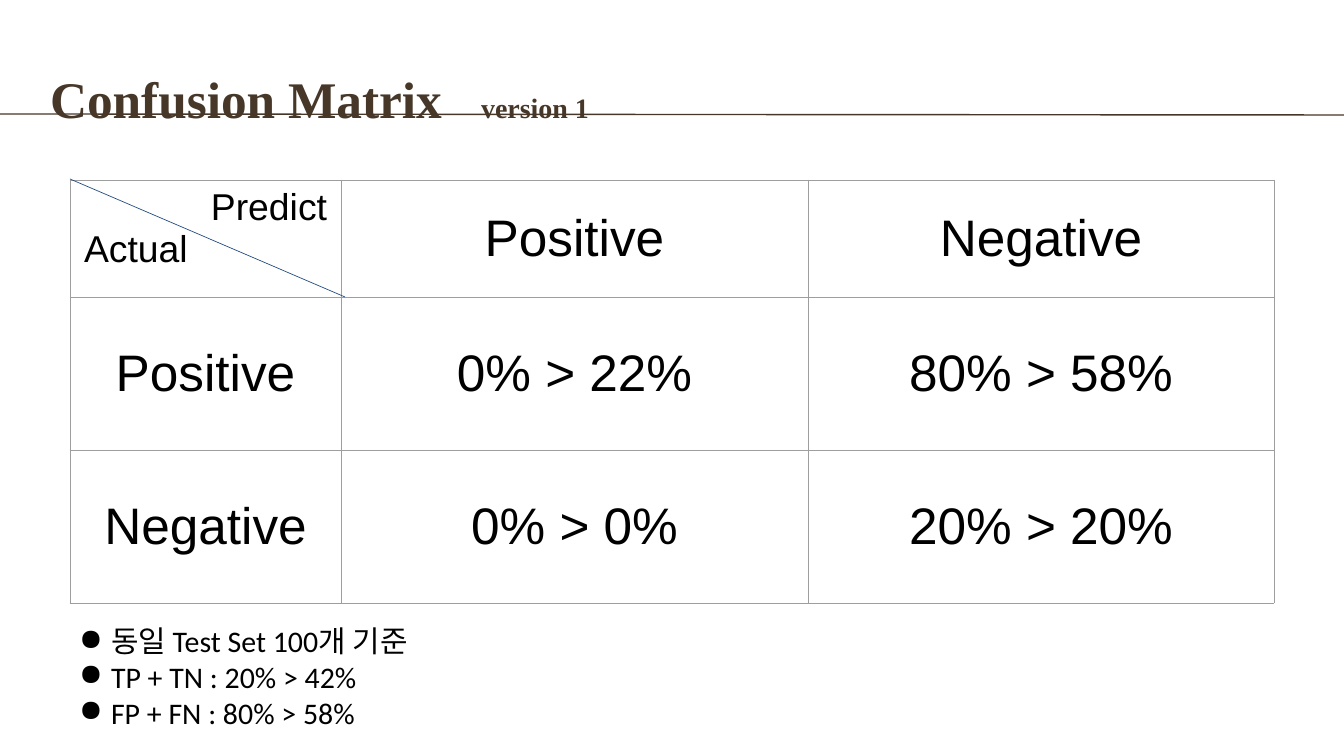
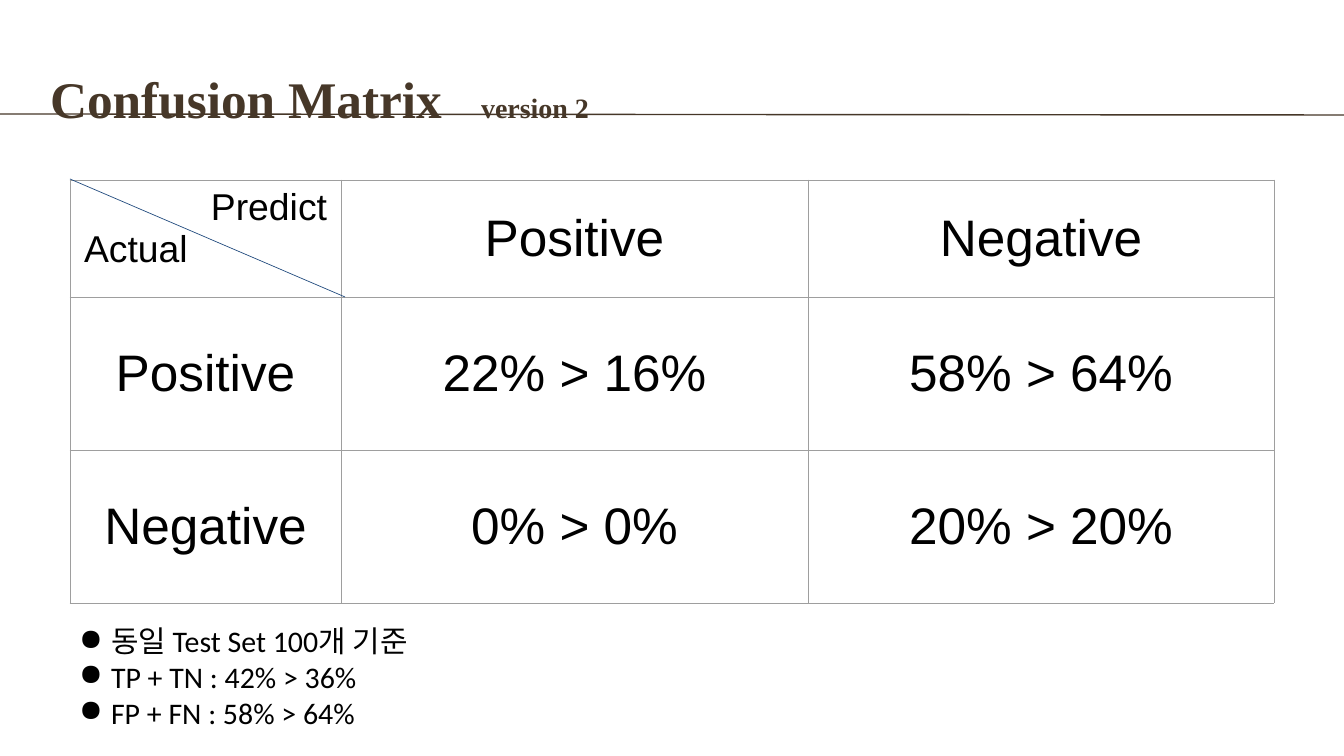
from lxml.etree import SubElement
from pptx import Presentation
from pptx.dml.color import RGBColor
from pptx.enum.shapes import MSO_CONNECTOR
from pptx.enum.text import MSO_ANCHOR, MSO_AUTO_SIZE, PP_ALIGN
from pptx.oxml.ns import qn
from pptx.util import Pt

PX = 13607  # EMU per px, 67.2 px to the inch
BROWN, BLUE, GREY, BLACK = "463728", "1F497D", "9E9E9E", "000000"
TITLE_FONT, TABLE_FONT, NOTE_FONT = "Times New Roman", "Arial", "Calibri"
hex_color = RGBColor.from_string

COLUMN_WIDTHS = [271, 467, 466]
ROW_HEIGHTS = [117, 153, 153]
CLASSES = ["Positive", "Negative"]

VERSIONS = [
    {
        "name": "version 1",
        "rates": [["0% > 22%", "80% > 58%"], ["0% > 0%", "20% > 20%"]],
        "correct": "20% > 42%",
        "wrong": "80% > 58%",
        "notes_height": 119,
    },
    {
        "name": "version 2",
        "rates": [["22% > 16%", "58% > 64%"], ["0% > 0%", "20% > 20%"]],
        "correct": "42% > 36%",
        "wrong": "58% > 64%",
        "notes_height": 87,
    },
]


def add_run(paragraph, text, font, size, color=BLACK, bold=False):
    run = paragraph.add_run()
    run.text = text
    run.font.name = font
    run.font.size = Pt(size)
    run.font.bold = bold
    run.font.color.rgb = hex_color(color)


def add_line(slide, x1, y1, x2, y2, color, width):
    line = slide.shapes.add_connector(
        MSO_CONNECTOR.STRAIGHT, x1 * PX, y1 * PX, x2 * PX, y2 * PX)
    line.line.color.rgb = hex_color(color)
    line.line.width = Pt(width)
    SubElement(line._element.spPr, qn("a:effectLst"))


prs = Presentation()
prs.slide_width, prs.slide_height = 1344 * PX, 756 * PX
title_only = prs.slide_layouts[5]

for version in VERSIONS:
    slide = prs.slides.add_slide(title_only)

    # Title, with the version after a tab stop
    title = slide.shapes.title
    title.left, title.top, title.width, title.height = 50 * PX, 36 * PX, 710 * PX, 62 * PX
    frame = title.text_frame
    frame.margin_left = frame.margin_right = frame.margin_top = frame.margin_bottom = 0
    frame.vertical_anchor = MSO_ANCHOR.TOP
    frame.word_wrap = True
    frame.auto_size = MSO_AUTO_SIZE.SHAPE_TO_FIT_TEXT
    heading = frame.paragraphs[0]
    tabs = SubElement(heading._p.get_or_add_pPr(), qn("a:tabLst"))
    SubElement(tabs, qn("a:tab"), pos=str(431 * PX), algn="l")
    heading.alignment = PP_ALIGN.LEFT
    heading.line_spacing = 1.5
    add_run(heading, "Confusion Matrix\t", TITLE_FONT, 55, BROWN, True)
    add_run(heading, version["name"], TITLE_FONT, 30, BROWN, True)

    # Confusion matrix
    matrix = slide.shapes.add_table(
        3, 3, 70 * PX, 180 * PX, sum(COLUMN_WIDTHS) * PX, sum(ROW_HEIGHTS) * PX).table
    matrix.first_row = matrix.horz_banding = False
    for column, width in zip(matrix.columns, COLUMN_WIDTHS):
        column.width = width * PX
    for row, height in zip(matrix.rows, ROW_HEIGHTS):
        row.height = height * PX

    for cell in matrix.iter_cells():
        cell.margin_left = cell.margin_right = cell.margin_top = cell.margin_bottom = 7 * PX
        for side in ("lnL", "lnR", "lnT", "lnB"):
            border = SubElement(cell._tc.get_or_add_tcPr(), qn(f"a:{side}"), w=str(Pt(0.75)))
            SubElement(SubElement(border, qn("a:solidFill")), qn("a:srgbClr"), val=GREY)
        cell.fill.background()

    corner = matrix.cell(0, 0)
    corner.margin_left = corner.margin_right = 14 * PX
    predict = corner.text_frame.paragraphs[0]
    predict.alignment = PP_ALIGN.RIGHT
    add_run(predict, "Predict", TABLE_FONT, 40)
    add_run(corner.text_frame.add_paragraph(), "Actual", TABLE_FONT, 40)

    labels = [[None, *CLASSES]]
    labels += [[actual, *rates] for actual, rates in zip(CLASSES, version["rates"])]
    for r, row_labels in enumerate(labels):
        for c, label in enumerate(row_labels):
            if label:
                cell = matrix.cell(r, c)
                cell.vertical_anchor = MSO_ANCHOR.MIDDLE
                paragraph = cell.text_frame.paragraphs[0]
                paragraph.alignment = PP_ALIGN.CENTER
                add_run(paragraph, label, TABLE_FONT, 55)

    # Title rule and the diagonal of the corner cell
    add_line(slide, 0, 114, 1344, 115, BROWN, 1.5)
    add_line(slide, 70, 179, 345, 297, BLUE, 0.75)

    # Summary notes
    notes = slide.shapes.add_textbox(
        70 * PX, 616 * PX, 556 * PX, version["notes_height"] * PX).text_frame
    notes.word_wrap = True
    notes.margin_left = notes.margin_right = notes.margin_top = notes.margin_bottom = 7 * PX
    summary = [
        "동일 Test Set 100개 기준",
        f"TP + TN : {version['correct']}",
        f"FP + FN : {version['wrong']}",
    ]
    for i, text in enumerate(summary):
        paragraph = notes.add_paragraph() if i else notes.paragraphs[0]
        properties = paragraph._p.get_or_add_pPr()
        properties.set("marL", str(34 * PX))
        properties.set("indent", str(-32 * PX))
        bullet_color = SubElement(properties, qn("a:buClr"))
        SubElement(bullet_color, qn("a:srgbClr"), val=BLACK)
        SubElement(properties, qn("a:buChar"), char="●")
        add_run(paragraph, text, NOTE_FONT, 32)

prs.save("out.pptx")
